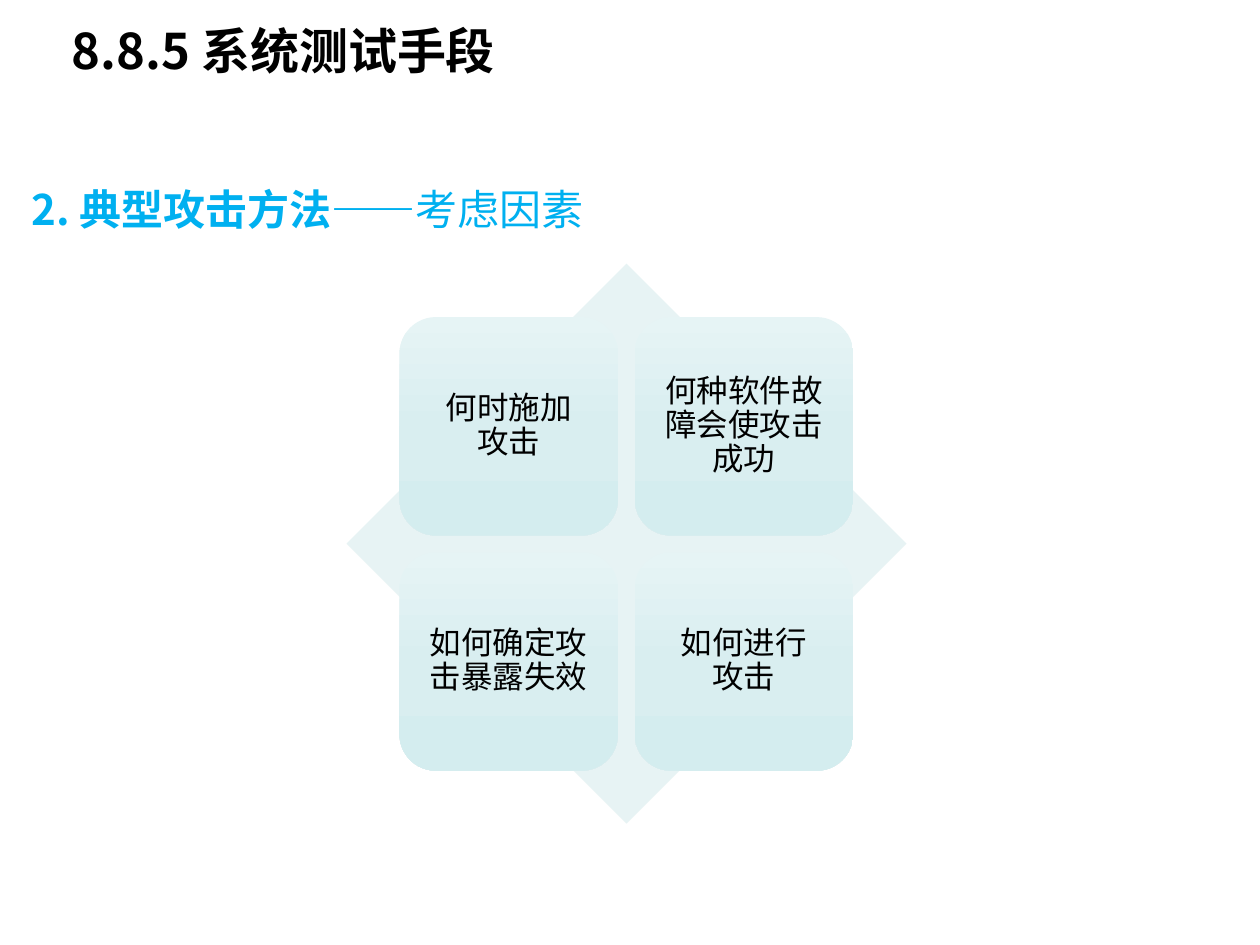
from copy import deepcopy

from pptx import Presentation
from pptx.dml.color import RGBColor
from pptx.enum import shapes, text
from pptx.oxml import ns
from pptx.util import Pt

FONT = "Noto Sans CJK SC"
HUES = {
    "ink": "000000",
    "sky": "00B0F0",
    "pale": "E7F3F4",
    "high": "E6F4F5",
    "mid": "D9EEF0",
    "low": "D4EDEF",
}
TILES = [
    ["何时施加", "攻击"],
    ["何种软件故障会使攻击成功"],
    ["如何确定攻击暴露失效"],
    ["如何进行", "攻击"],
]


def hue(name):
    return RGBColor.from_string(HUES[name])


def add_run(para, words, size=18, color="ink", bold=False):
    run = para.add_run()
    run.text = words
    run.font.size = Pt(size)
    run.font.bold = bold
    run.font.name = FONT
    run.font.color.rgb = hue(color)
    props = run.font._element
    east = props.makeelement(ns.qn("a:ea"), {"typeface": FONT})
    props.find(ns.qn("a:latin")).addnext(east)


def add_label(slide, box, runs, wrap=True):
    label = slide.shapes.add_textbox(*map(Pt, box))
    label.text_frame.word_wrap = wrap
    for words, style in runs:
        add_run(label.text_frame.paragraphs[0], words, **style)


def add_form(slide, kind, box, color):
    form = slide.shapes.add_shape(kind, *map(Pt, box))
    form.shadow.inherit = False
    form.line.fill.background()
    form.fill.solid()
    form.fill.fore_color.rgb = hue(color)
    return form


def shade(form, names):
    form.fill.gradient()
    form.fill.gradient_angle = 270
    stops = form._element.spPr.find(ns.qn("a:gradFill")).find(ns.qn("a:gsLst"))
    stops.append(deepcopy(stops[0]))
    for i, name in enumerate(names):
        stop = form.fill.gradient_stops[i]
        stop.position = i / (len(names) - 1)
        stop.color.rgb = hue(name)


def add_tile(slide, box, lines):
    tile = add_form(slide, shapes.MSO_SHAPE.ROUNDED_RECTANGLE, box, "mid")
    shade(tile, ["high", "mid", "low"])
    frame = tile.text_frame
    frame.word_wrap = True
    frame.vertical_anchor = text.MSO_ANCHOR.MIDDLE
    frame.margin_left = frame.margin_right = Pt(5)
    frame.margin_top = frame.margin_bottom = Pt(5)
    for i, line in enumerate(lines):
        para = frame.add_paragraph() if i else frame.paragraphs[0]
        para.alignment = text.PP_ALIGN.CENTER
        para.line_spacing = 0.9
        add_run(para, line)


def add_matrix(slide, left, top, size, step):
    for i, lines in enumerate(TILES):
        row, col = divmod(i, 2)
        add_tile(slide, (left + col * step, top + row * step, size, size), lines)


def main():
    deck = Presentation()
    deck.slide_width, deck.slide_height = Pt(720), Pt(540)
    slide = deck.slides.add_slide(deck.slide_layouts[6])
    add_label(slide, (34, 8, 648, 50),
              [("8.8.5 系统测试手段", dict(size=28, bold=True))])
    add_label(slide, (10.8, 101.5, 336, 36),
              [("2. 典型攻击方法——", dict(size=24, color="sky", bold=True)),
               ("考虑因素", dict(size=24, color="sky"))], wrap=False)
    add_form(slide, shapes.MSO_SHAPE.DIAMOND, (198, 150.6, 320, 320), "pale")
    add_matrix(slide, left=228.3, top=181.2, size=124.8, step=134.4)
    deck.save("out.pptx")


if __name__ == "__main__":
    main()
